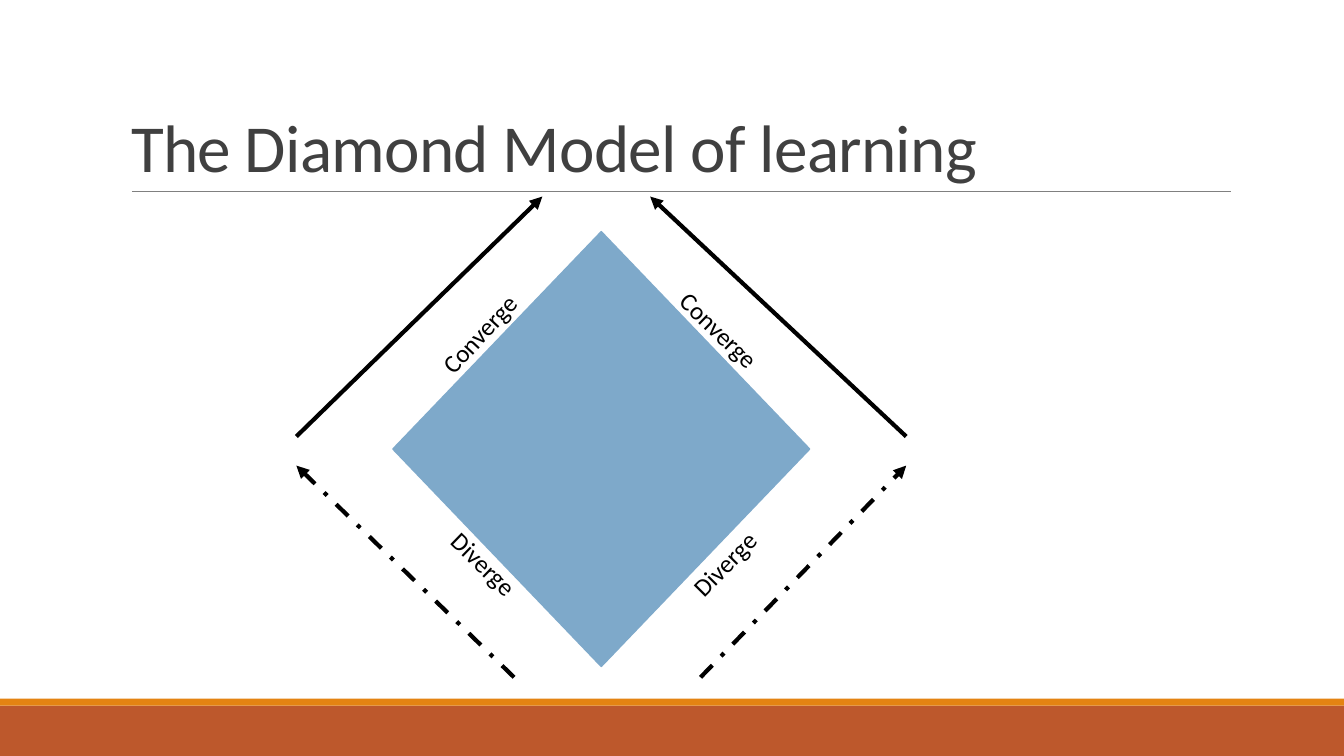
from typing import NamedTuple

from lxml.etree import SubElement
from pptx import Presentation
from pptx.dml.color import RGBColor
from pptx.enum.dml import MSO_LINE_DASH_STYLE as DASH
from pptx.enum.shapes import MSO_CONNECTOR, MSO_SHAPE
from pptx.enum.text import MSO_ANCHOR, MSO_AUTO_SIZE, PP_ALIGN
from pptx.oxml.ns import qn
from pptx.util import Pt

COLORS = {
    "bar": "BD582C",
    "stripe": "E48312",
    "rule": "808080",
    "title": "404040",
    "diamond": "7EA9CA",
    "ink": "000000",
}
FONT = "Calibri"
SLIDE_W, SLIDE_H = 960, 540
LABEL_W, LABEL_H = 104.4, 28.8


class Box(NamedTuple):
    left: float
    top: float
    width: float
    height: float


class Label(NamedTuple):
    text: str
    left: float
    top: float
    rotation: float


class Arrow(NamedTuple):
    x1: float
    y1: float
    x2: float
    y2: float
    dash: DASH | None = None


# Outer arrows meet at shared left/right ends and shared heights.
LEFT_X, RIGHT_X = 211.7, 647.3
BOTTOM_Y, DIVERGE_Y, CONVERGE_Y, TOP_Y = 483.8, 332.6, 311.8, 140.4

LABELS = [
    Label("Diverge", 306, 400.3, 44.1),
    Label("Diverge", 477.4, 375.8, 314.7),
    Label("Converge", 297.4, 216, 312.9),
    Label("Converge", 469.4, 229, 44.1),
]
ARROWS = [
    Arrow(367.2, BOTTOM_Y, LEFT_X, DIVERGE_Y, DASH.DASH_DOT),
    Arrow(500.4, BOTTOM_Y, RIGHT_X, DIVERGE_Y, DASH.DASH_DOT),
    Arrow(LEFT_X, CONVERGE_Y, 387.4, TOP_Y),
    Arrow(RIGHT_X, CONVERGE_Y, 464.4, TOP_Y),
]


def rgb(name: str) -> RGBColor:
    return RGBColor.from_string(COLORS[name])


def write(tf, text: str, *, size: float, color: str, anchor=MSO_ANCHOR.TOP,
          line_spacing: float | None = None, tracking: float = 0) -> None:
    """Fill a text frame with one left-aligned run; tracking is in points."""
    tf.word_wrap = True
    tf.vertical_anchor = anchor
    p = tf.paragraphs[0]
    p.alignment = PP_ALIGN.LEFT
    p.line_spacing = line_spacing
    r = p.add_run()
    r.text = text
    r.font.name, r.font.size = FONT, Pt(size)
    r.font.color.rgb = rgb(color)
    if tracking:
        r._r.get_or_add_rPr().set("spc", str(round(tracking * 100)))


def add_block(shapes, kind: MSO_SHAPE, box: Box, color: str, line_width: float = 0) -> None:
    sp = shapes.add_shape(kind, *map(Pt, box))
    sp.shadow.inherit = False
    sp.fill.solid()
    sp.fill.fore_color.rgb = rgb(color)
    if line_width:
        sp.line.color.rgb = rgb(color)
        sp.line.width = Pt(line_width)
    else:
        sp.line.fill.background()


def add_line(shapes, a: Arrow, color: str, width: float, head: bool = False) -> None:
    cxn = shapes.add_connector(MSO_CONNECTOR.STRAIGHT, Pt(a.x1), Pt(a.y1), Pt(a.x2), Pt(a.y2))
    cxn.line.color.rgb = rgb(color)
    cxn.line.width = Pt(width)
    if a.dash is not None:
        cxn.line.dash_style = a.dash
    if head:
        SubElement(cxn.line._get_or_add_ln(), qn("a:tailEnd"), type="triangle")
    SubElement(cxn._element.spPr, qn("a:effectLst"))


def add_label(shapes, label: Label) -> None:
    sp = shapes.add_textbox(Pt(label.left), Pt(label.top), Pt(LABEL_W), Pt(LABEL_H))
    sp.rotation = label.rotation
    write(sp.text_frame, label.text, size=18, color="ink")
    sp.text_frame.auto_size = MSO_AUTO_SIZE.SHAPE_TO_FIT_TEXT


def main() -> None:
    prs = Presentation()
    prs.slide_width, prs.slide_height = Pt(SLIDE_W), Pt(SLIDE_H)
    s = prs.slides.add_slide(prs.slide_layouts[5])

    add_block(s.shapes, MSO_SHAPE.RECTANGLE, Box(0, 504, SLIDE_W, 36), "bar")
    add_block(s.shapes, MSO_SHAPE.RECTANGLE, Box(0, 499, SLIDE_W, 5), "stripe")
    add_line(s.shapes, Arrow(94.3, 136.8, 879.1, 136.8), "rule", 0.5)

    title = s.shapes.title
    title.left, title.top, title.width, title.height = map(Pt, Box(86.4, 22.3, 792, 114.5))
    write(title.text_frame, "The Diamond Model of learning", size=48, color="title",
          anchor=MSO_ANCHOR.BOTTOM, line_spacing=0.85, tracking=-0.5)
    title.text_frame.auto_size = MSO_AUTO_SIZE.NONE

    model = s.shapes.add_group_shape().shapes
    add_block(model, MSO_SHAPE.DIAMOND, Box(280.8, 165.6, 297.4, 310.3), "diamond", 1.25)
    for label in LABELS:
        add_label(model, label)
    for arrow in ARROWS:
        add_line(model, arrow, "ink", 3, head=True)

    prs.save("out.pptx")


if __name__ == "__main__":
    main()
